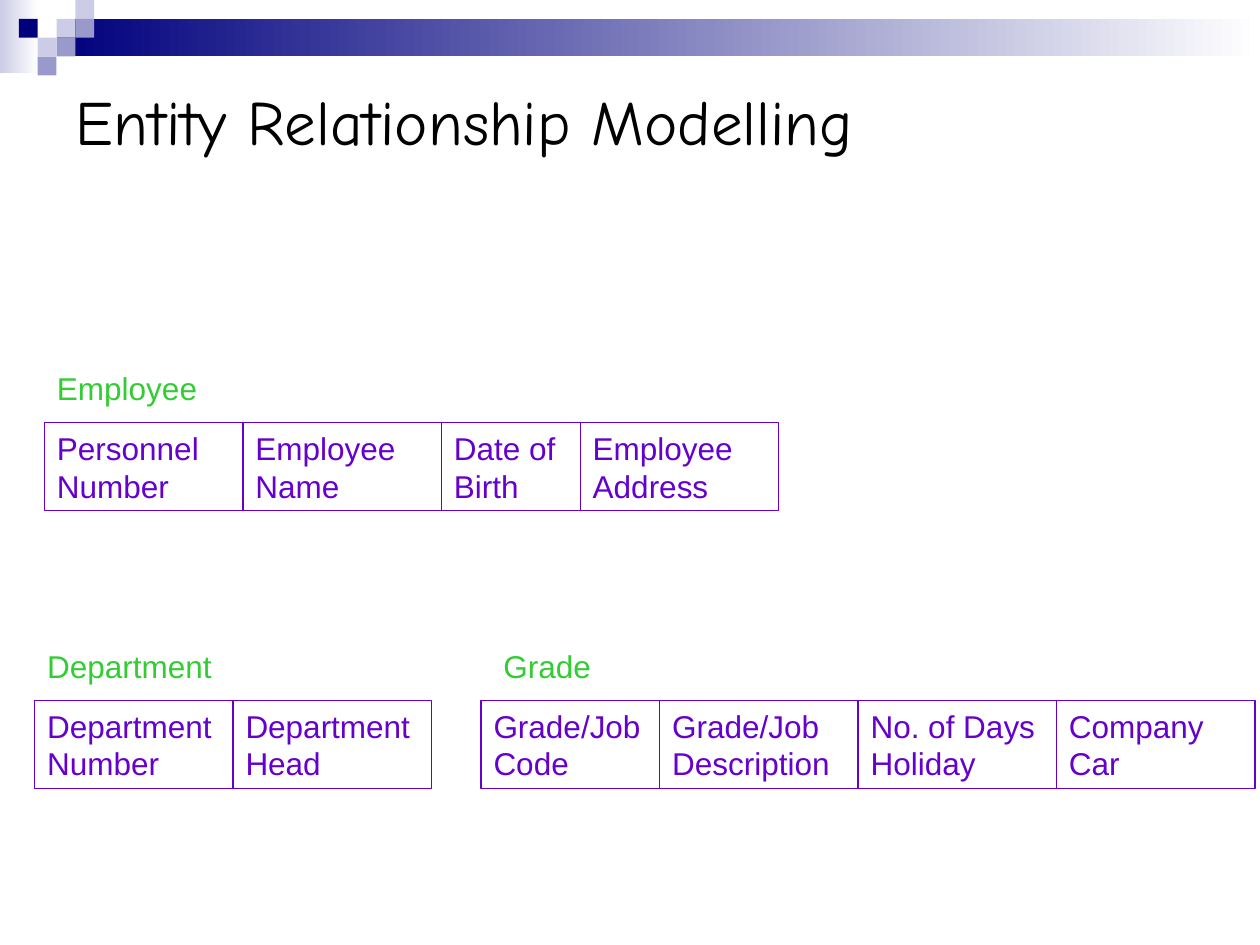
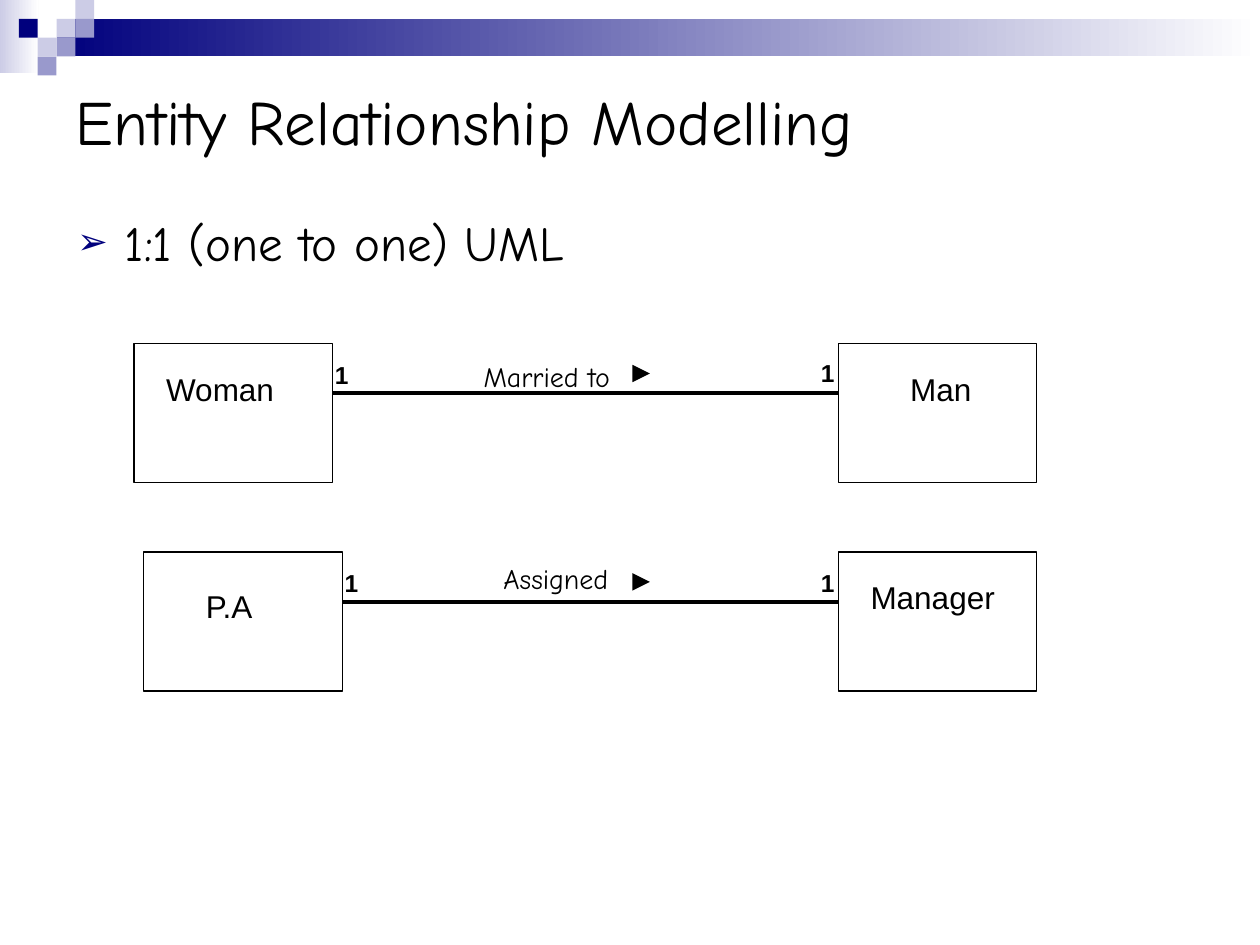
"""Builds two slides on entity relationship modelling."""
from dataclasses import dataclass

from lxml import etree
from pptx import Presentation
from pptx import util as u
from pptx.dml.color import RGBColor
from pptx.enum import shapes, text
from pptx.oxml import ns


@dataclass(frozen=True)
class Theme:
    """Colours, fonts and type sizes of the presentation."""
    navy: str = "00007D"
    mid: str = "9999CC"
    pale: str = "CCCCE6"
    white: str = "FFFFFF"
    ink: str = "000000"
    attribute: str = "6600CC"
    entity: str = "33CC33"
    hand: str = "Comic Neue"
    plain: str = "Arial"
    title: int = 36
    bullet: int = 28
    label: int = 18
    relation: int = 16
    multiplicity: int = 14


THEME = Theme()
TITLE = "Entity Relationship Modelling"


def rgb(code):
    """Turn a hex code into a colour."""
    return RGBColor.from_string(code)


def cm_box(*lengths):
    """Turn centimetres into slide lengths."""
    return [u.Cm(length) for length in lengths]


def write(frame, words, size, font=THEME.plain, colour=THEME.ink, bold=False):
    """Write one left-aligned run."""
    paragraph = frame.paragraphs[0]
    paragraph.alignment = text.PP_ALIGN.LEFT
    run = paragraph.add_run()
    run.text = words
    run.font.size = u.Pt(size)
    run.font.name = font
    run.font.bold = bold
    run.font.color.rgb = rgb(colour)


def add_label(slide, box, words, size=THEME.label, **style):
    """Add a text box holding one label."""
    frame = slide.shapes.add_textbox(*cm_box(*box)).text_frame
    frame.word_wrap = True
    write(frame, words, size, **style)


def add_outline(slide, box, colour):
    """Add an unfilled rectangle with a thin border."""
    outline = slide.shapes.add_shape(shapes.MSO_SHAPE.RECTANGLE, *cm_box(*box))
    outline.shadow.inherit = False
    outline.fill.background()
    outline.line.color.rgb = rgb(colour)
    outline.line.width = u.Pt(0.75)
    return outline


def add_line(slide, start, end, y, width, arrow=False):
    """Add a horizontal line, with an arrowhead at its end if asked."""
    line = slide.shapes.add_connector(
        shapes.MSO_CONNECTOR.STRAIGHT, *cm_box(start, y, end, y))
    line.line.color.rgb = rgb(THEME.ink)
    line.line.width = u.Pt(width)
    properties = line.element.spPr
    if arrow:
        etree.SubElement(properties.find(ns.qn("a:ln")), ns.qn("a:tailEnd"),
                         type="triangle", w="lg", len="lg")
    etree.SubElement(properties, ns.qn("a:effectLst"))


def add_band(master, slide):
    """Draw the gradient band and its squares, and move them to the master."""
    band = slide.shapes.add_group_shape()

    def add_block(box, first, last=None):
        """Add one borderless block, plain or graded."""
        block = band.shapes.add_shape(shapes.MSO_SHAPE.RECTANGLE, *cm_box(*box))
        block.shadow.inherit = False
        block.line.fill.background()
        if last is None:
            block.fill.solid()
            block.fill.fore_color.rgb = rgb(first)
            return
        block.fill.gradient()
        block.fill.gradient_angle = 0
        for stop, colour in zip(block.fill.gradient_stops, (first, last)):
            stop.color.rgb = rgb(colour)

    side = 0.38
    add_block((0, 0, 0.78, 1.48), THEME.pale, THEME.white)
    add_block((3 * side, side, 25.4 - 3 * side, 2 * side), THEME.navy, THEME.white)
    squares = {THEME.pale: [(3, 1), (4, 0), (2, 2)],
               THEME.mid: [(4, 1), (3, 2), (2, 3)],
               THEME.navy: [(1, 1)]}
    for colour, cells in squares.items():
        for column, row in cells:
            add_block((column * side, row * side, side, side), colour)
    for number, properties in enumerate(band.element.iter(ns.qn("p:cNvPr")), 100):
        properties.set("id", str(number))
    master.shapes.element.insert(2, band.element)


def place(holder, box):
    """Move a placeholder to a box."""
    holder.left, holder.top, holder.width, holder.height = cm_box(*box)
    holder.text_frame.auto_size = text.MSO_AUTO_SIZE.NONE


def add_title(slide):
    """Fill the title placeholder."""
    place(slide.shapes.title, (1.27, 1.32, 24.13, 2.2))
    frame = slide.shapes.title.text_frame
    frame.vertical_anchor = text.MSO_ANCHOR.MIDDLE
    write(frame, TITLE, THEME.title, THEME.hand)


def add_bullet(slide, words):
    """Fill the body placeholder with one arrow-bulleted line."""
    body = slide.placeholders[1]
    place(body, (1.3, 3.92, 22.86, 1.8))
    paragraph = body.text_frame.paragraphs[0]
    properties = paragraph._p.get_or_add_pPr()
    properties.set("marL", str(u.Cm(0.96)))
    properties.set("indent", str(-u.Cm(0.96)))
    colour = etree.SubElement(properties, ns.qn("a:buClr"))
    etree.SubElement(colour, ns.qn("a:srgbClr"), val=THEME.navy)
    etree.SubElement(properties, ns.qn("a:buSzPct"), val="75000")
    etree.SubElement(properties, ns.qn("a:buChar"), char="➢")
    paragraph.line_spacing = 1.2
    paragraph.space_before = u.Pt(0)
    write(body.text_frame, words, THEME.bullet, THEME.hand)


def add_entity(slide, left, top, name, attributes, name_indent=0):
    """Add an entity name above its row of attribute cells."""
    add_label(slide, (left + name_indent, top - 1.21, 4, 1.02), name,
              colour=THEME.entity)
    for attribute, width in attributes:
        cell = add_outline(slide, (left, top, width, 1.78), THEME.attribute)
        cell.text_frame.word_wrap = True
        cell.text_frame.vertical_anchor = text.MSO_ANCHOR.TOP
        write(cell.text_frame, attribute, THEME.label, colour=THEME.attribute)
        left += width


def add_relationship(slide, left, top, relation, relation_at, ends, ones_drop):
    """Join two entity boxes by a labelled one-to-one line."""
    width, height, right = 4, 2.8, 16.9
    for box_left in (left, right):
        add_outline(slide, (box_left, top, width, height), THEME.ink)
    for name, x, drop, name_width in ends:
        add_label(slide, (x, top + drop, name_width, 1.02), name)
    add_line(slide, left + width, right, top + 1, 2.25)
    x, drop = relation_at
    add_label(slide, (x, top + drop, 13.1 - x, 0.94), relation,
              THEME.relation, font=THEME.hand)
    add_line(slide, 12.9, 13.1, top + 0.6, 0.75, arrow=True)
    for x, drop in zip((left + width - 0.2, right - 0.6), ones_drop):
        add_label(slide, (x, top + drop, 0.8, 0.86), "1",
                  THEME.multiplicity, bold=True)


def fill_entities(slide):
    """Fill the slide of entities and their attributes."""
    add_title(slide)
    add_entity(slide, 0.9, 8.52, "Employee",
               [("Personnel Number", 4), ("Employee Name", 4),
                ("Date of Birth", 2.8), ("Employee Address", 4)])
    add_entity(slide, 0.7, 14.12, "Department",
               [("Department Number", 4), ("Department Head", 4)])
    add_entity(slide, 9.7, 14.12, "Grade",
               [("Grade/Job Code", 3.6), ("Grade/Job Description", 4),
                ("No. of Days Holiday", 4), ("Company Car", 4)], 0.2)


def fill_one_to_one(slide):
    """Fill the slide of one-to-one relationships."""
    add_title(slide)
    add_bullet(slide, "1:1 (one to one) UML")
    add_relationship(slide, 2.7, 6.93, "Married to", (9.5, 0.2),
                     [("Woman", 3.1, 0.4, 3.6), ("Man", 18.1, 0.4, 2.2)],
                     (0.2, 0.16))
    add_relationship(slide, 2.9, 11.13, "Assigned", (9.9, 0.07),
                     [("P.A", 3.9, 0.58, 2), ("Manager", 17.3, 0.4, 3.5)],
                     (0.2, 0.2))


def main():
    """Build and save the presentation."""
    deck = Presentation()
    deck.slide_width, deck.slide_height = cm_box(25.4, 19.05)
    entities = deck.slides.add_slide(deck.slide_layouts[5])
    add_band(deck.slide_master, entities)
    fill_entities(entities)
    fill_one_to_one(deck.slides.add_slide(deck.slide_layouts[1]))
    deck.save("out.pptx")


if __name__ == "__main__":
    main()
